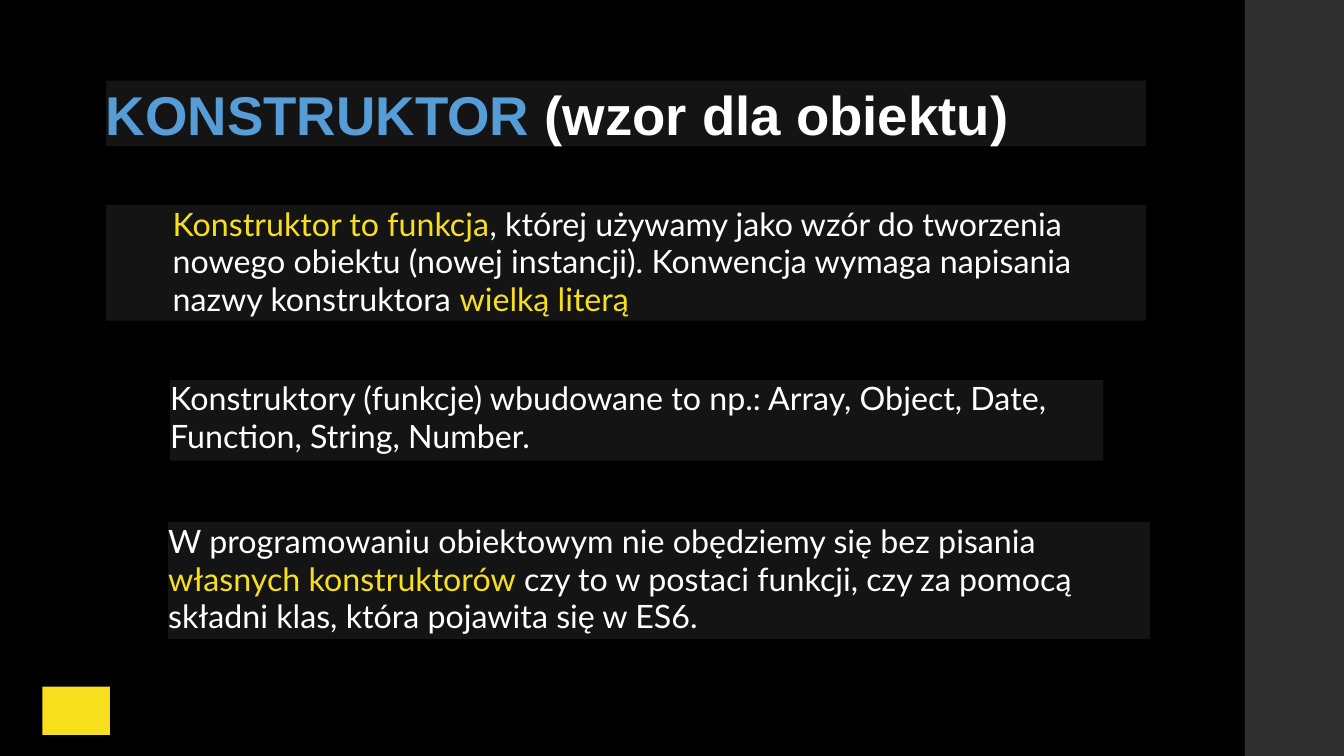
"""Build the slide that explains constructors as patterns for objects."""
from lxml.etree import SubElement
from pptx import Presentation
from pptx.dml.color import RGBColor
from pptx.enum.shapes import MSO_SHAPE
from pptx.enum.text import MSO_ANCHOR, MSO_AUTO_SIZE, PP_ALIGN
from pptx.oxml.ns import qn
from pptx.util import Cm, Pt

BLACK = RGBColor(0x00, 0x00, 0x00)
PANEL = RGBColor(0x14, 0x14, 0x14)
SIDEBAR = RGBColor(0x30, 0x30, 0x30)
WHITE = RGBColor(0xFF, 0xFF, 0xFF)
BLUE = RGBColor(0x56, 0x9C, 0xD6)
YELLOW = RGBColor(0xF7, 0xDF, 0x1E)

FRAME_FORMAT = {
    "margin_left": 0, "margin_right": 0, "margin_top": 0, "margin_bottom": 0,
    "word_wrap": True, "auto_size": MSO_AUTO_SIZE.NONE,
    "vertical_anchor": MSO_ANCHOR.TOP,
}
HEADING_FONT = {"name": "Arial", "size": Pt(39), "bold": True}
BODY_FONT = {"name": "Lato", "size": Pt(23), "bold": False}
HEADING_PARAGRAPH = {"alignment": PP_ALIGN.LEFT, "space_before": Pt(0)}
BODY_PARAGRAPH = {**HEADING_PARAGRAPH, "line_spacing": Pt(26.9)}


def apply_format(target, values):
    for name, value in values.items():
        setattr(target, name, value)


def place(panel, box):
    for name, length in zip(("left", "top", "width", "height"), box):
        setattr(panel, name, Cm(length))


def paint(panel, colour):
    panel.fill.solid()
    panel.fill.fore_color.rgb = colour


def add_block(slide, box, colour):
    block = slide.shapes.add_shape(MSO_SHAPE.RECTANGLE, *map(Cm, box))
    block.shadow.inherit = False
    block.line.fill.background()
    paint(block, colour)


def write_panel(panel, box, phrases, font, paragraph_format, indent=0):
    place(panel, box)
    paint(panel, PANEL)
    apply_format(panel.text_frame, {**FRAME_FORMAT, "margin_left": Cm(indent)})
    paragraph = panel.text_frame.paragraphs[0]
    apply_format(paragraph, paragraph_format)
    for words, colour in phrases:
        phrase = paragraph.add_run()
        phrase.text = words
        apply_format(phrase.font, font)
        phrase.font.color.rgb = colour
    return paragraph


def remove_bullet(paragraph):
    properties = paragraph._p.get_or_add_pPr()
    properties.set("marL", "0")
    properties.set("indent", "0")
    SubElement(properties, qn("a:buNone"))


def add_note(slide, box, phrases, paragraph_format):
    note = slide.shapes.add_textbox(*map(Cm, box))
    write_panel(note, box, phrases, BODY_FONT, paragraph_format)


def main():
    deck = Presentation()
    deck.slide_width, deck.slide_height = Cm(33.87), Cm(19.05)
    slide = deck.slides.add_slide(deck.slide_layouts[1])
    paint(slide.background, BLACK)

    add_block(slide, (31.37, 0, 2.5, 19.05), SIDEBAR)
    write_panel(slide.shapes.title, (2.67, 2.03, 26.21, 1.65), [
        ("KONSTRUKTOR ", BLUE),
        ("(wzor dla obiektu)", WHITE),
    ], HEADING_FONT, HEADING_PARAGRAPH)

    definition = write_panel(slide.placeholders[1], (2.67, 5.16, 26.21, 2.92), [
        ("Konstruktor to funkcja", YELLOW),
        (", której używamy jako wzór do tworzenia nowego obiektu "
         "(nowej instancji). Konwencja wymaga napisania nazwy konstruktora ", WHITE),
        ("wielką literą", YELLOW),
    ], BODY_FONT, BODY_PARAGRAPH, indent=1.68)
    remove_bullet(definition)

    add_note(slide, (4.29, 9.58, 23.52, 2.03), [
        ("Konstruktory (funkcje) wbudowane to np.: Array, Object, Date, "
         "Function, String, Number.", WHITE),
    ], {**BODY_PARAGRAPH, "line_spacing": Pt(26.6)})
    add_note(slide, (4.24, 13.16, 24.74, 2.95), [
        ("W programowaniu obiektowym nie obędziemy się bez pisania ", WHITE),
        ("własnych konstruktorów ", YELLOW),
        ("czy to w postaci funkcji, czy za pomocą składni klas, "
         "która pojawita się w ES6.", WHITE),
    ], BODY_PARAGRAPH)
    add_block(slide, (1.07, 17.3, 1.7, 1.22), YELLOW)

    deck.save("out.pptx")


main()
